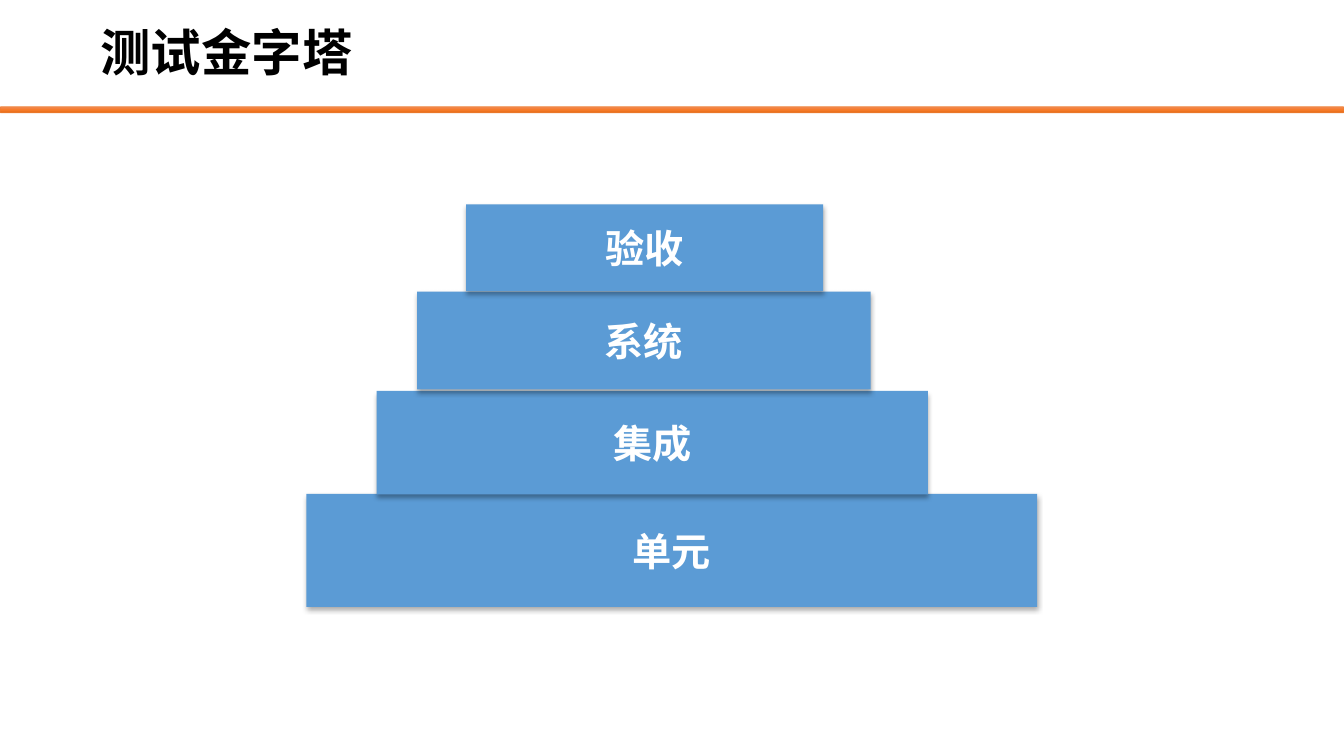
from copy import deepcopy

from lxml import etree
from pptx import Presentation
from pptx.dml.color import RGBColor
from pptx.enum.shapes import MSO_SHAPE
from pptx.enum.text import MSO_ANCHOR, PP_ALIGN
from pptx.oxml.ns import qn
from pptx.util import Pt

RECT, ROUND_RECT = MSO_SHAPE.RECTANGLE, MSO_SHAPE.ROUNDED_RECTANGLE
MIDDLE = MSO_ANCHOR.MIDDLE
LEFT, CENTER = PP_ALIGN.LEFT, PP_ALIGN.CENTER

TITLE = "测试金字塔"
TITLE_BOX = (64.8, 4.3, 828, 70.6)
RULE_BOX = (0, 76.3, 960, 4.3)
# Base first, so that each tier casts its shadow on the one below: label, box
TIERS = [
    ("单元", (218.9, 352.8, 522, 80.8)),
    ("集成", (269, 279.2, 393.9, 73.9)),
    ("系统", (298, 208.3, 324, 69.9)),
    ("验收", (333, 146, 255, 62)),
]

THEME = {
    "title": "000000", "title_size": 36, "title_font": "Times New Roman",
    "label": "FFFFFF", "label_size": 28, "font": "Noto Sans CJK SC",
    "tier": "5B9BD5", "rule_line": "ED7D31",
    "rule_stops": [(0, "F18C57"), (0.5, "F67B28"), (1, "E56C19")],
    "shadow": {"color": "000000", "alpha": 32, "blur": 3.5, "dist": 2.2, "angle": 90},
}


def rgb(name):
    """Return the theme colour called name."""
    return RGBColor.from_string(THEME[name])


def points(box):
    """Convert a box of numbers to points."""
    return [Pt(v) for v in box]


def write(sp, text, color, size, font, align):
    """Put one bold run, vertically centred, in a shape."""
    tf = sp.text_frame
    tf.word_wrap = True
    tf.vertical_anchor = MIDDLE
    p = tf.paragraphs[0]
    p.alignment = align
    r = p.add_run()
    r.text = text
    r.font.size, r.font.bold, r.font.name = Pt(size), True, font
    r.font.color.rgb = color
    ea = etree.SubElement(r.font._element, qn("a:ea"))
    ea.set("typeface", THEME["font"])
    return p


def add_shadow(sp):
    """Give a shape the theme's soft shadow."""
    look = THEME["shadow"]
    effects = sp._element.spPr.find(qn("a:effectLst"))
    shadow = etree.SubElement(
        effects, qn("a:outerShdw"), blurRad=str(Pt(look["blur"])),
        dist=str(Pt(look["dist"])), dir=str(look["angle"] * 60000),
        algn="ctr", rotWithShape="0")
    color = etree.SubElement(shadow, qn("a:srgbClr"), val=look["color"])
    etree.SubElement(color, qn("a:alpha"), val=str(look["alpha"] * 1000))


def add_rule(slide):
    """Draw the gradient bar under the title."""
    sp = slide.shapes.add_shape(ROUND_RECT, *points(RULE_BOX))
    sp.shadow.inherit = False
    sp.line.color.rgb, sp.line.width = rgb("rule_line"), Pt(0.5)
    sp.fill.gradient()
    sp.fill.gradient_angle = 270
    stops = next(sp._element.spPr.iter(qn("a:gsLst")))
    stops.append(deepcopy(stops[-1]))
    for stop, (position, color) in zip(sp.fill.gradient_stops, THEME["rule_stops"]):
        stop.position = position
        stop.color.rgb = RGBColor.from_string(color)


def add_title(slide):
    """Add the slide heading."""
    sp = slide.shapes.add_textbox(*points(TITLE_BOX))
    p = write(sp, TITLE, rgb("title"), THEME["title_size"], THEME["title_font"], LEFT)
    p.line_spacing = 0.9


def add_tier(slide, label, box):
    """Add one level of the pyramid."""
    sp = slide.shapes.add_shape(RECT, *points(box))
    sp.shadow.inherit = False
    sp.fill.solid()
    sp.fill.fore_color.rgb = rgb("tier")
    sp.line.fill.background()
    add_shadow(sp)
    write(sp, label, rgb("label"), THEME["label_size"], THEME["font"], CENTER)


def main():
    """Build and save the slide."""
    prs = Presentation()
    prs.slide_width, prs.slide_height = Pt(960), Pt(540)
    slide = prs.slides.add_slide(prs.slide_layouts[6])
    add_rule(slide)
    add_title(slide)
    for label, box in TIERS:
        add_tier(slide, label, box)
    prs.save("out.pptx")


main()
